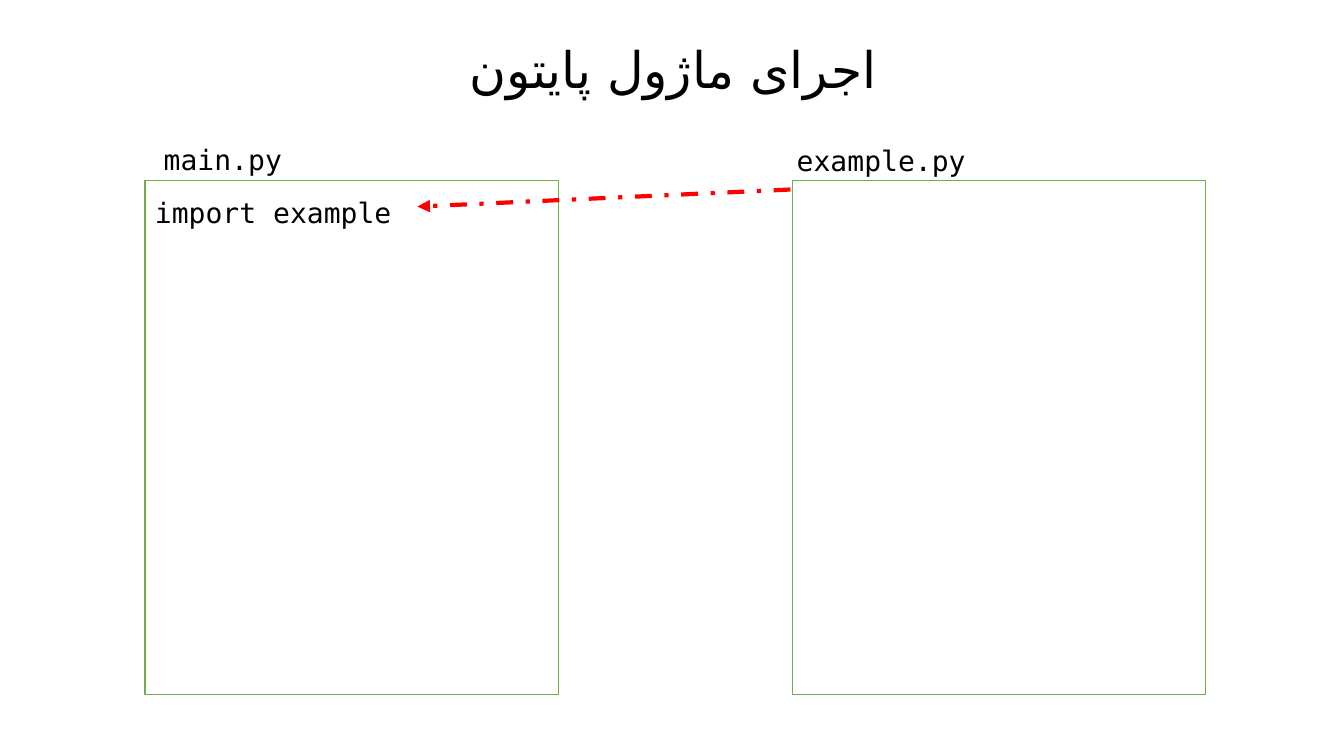
"""Build a slide showing one Python module importing another."""
from pptx import Presentation
from pptx.dml.color import RGBColor
from pptx.enum.dml import MSO_LINE
from pptx.enum.shapes import MSO_CONNECTOR, MSO_SHAPE
from pptx.enum.text import MSO_ANCHOR, PP_ALIGN
from pptx.oxml.ns import qn
from pptx.util import Pt
from lxml.etree import SubElement

PX = 9144
FONT = "DejaVu Sans Mono"


def color(value):
    return RGBColor.from_string(value)


def add_text(page, text, size, *bounds):
    box = page.shapes.add_textbox(*(length * PX for length in bounds))
    frame = box.text_frame
    frame.word_wrap = True
    frame.vertical_anchor = MSO_ANCHOR.BOTTOM
    para = frame.paragraphs[0]
    para.alignment = PP_ALIGN.CENTER
    para.line_spacing = 0.9
    span = para.add_run()
    span.text = text
    for name, value in {"name": FONT, "size": Pt(size)}.items():
        setattr(span.font, name, value)
    span.font.color.rgb = color("000000")
    return span


deck = Presentation()
deck.slide_width = 1333 * PX
deck.slide_height = 750 * PX
page = deck.slides.add_slide(deck.slide_layouts[6])

title = add_text(page, "اجرای ماژول پایتون", 36, 168, 0, 1000, 104)
SubElement(title.font._element, qn("a:cs"), typeface="DejaVu Sans")

for left in (144, 786):
    panel = page.shapes.add_shape(
        MSO_SHAPE.RECTANGLE, left * PX, 179 * PX, 410 * PX, 510 * PX)
    panel.shadow.inherit = False
    panel.fill.solid()
    panel.fill.fore_color.rgb = color("FFFFFF")
    panel.line.color.rgb = color("70AD47")
    panel.line.width = Pt(1)

for text, *bounds in (
    ("main.py", 139, 126, 164, 54),
    ("example.py", 374, 77, 1000, 104),
    ("import example", 128, 179, 286, 54),
):
    add_text(page, text, 20, *bounds)

arrow = page.shapes.add_connector(
    MSO_CONNECTOR.STRAIGHT, 784 * PX, 188 * PX, 414 * PX, 205 * PX)
arrow.line.color.rgb = color("FF0000")
for name, value in {"width": Pt(3), "dash_style": MSO_LINE.DASH_DOT}.items():
    setattr(arrow.line, name, value)
SubElement(arrow.line._get_or_add_ln(), qn("a:tailEnd"), type="triangle")
SubElement(arrow._element.spPr, qn("a:effectLst"))

deck.save("out.pptx")
